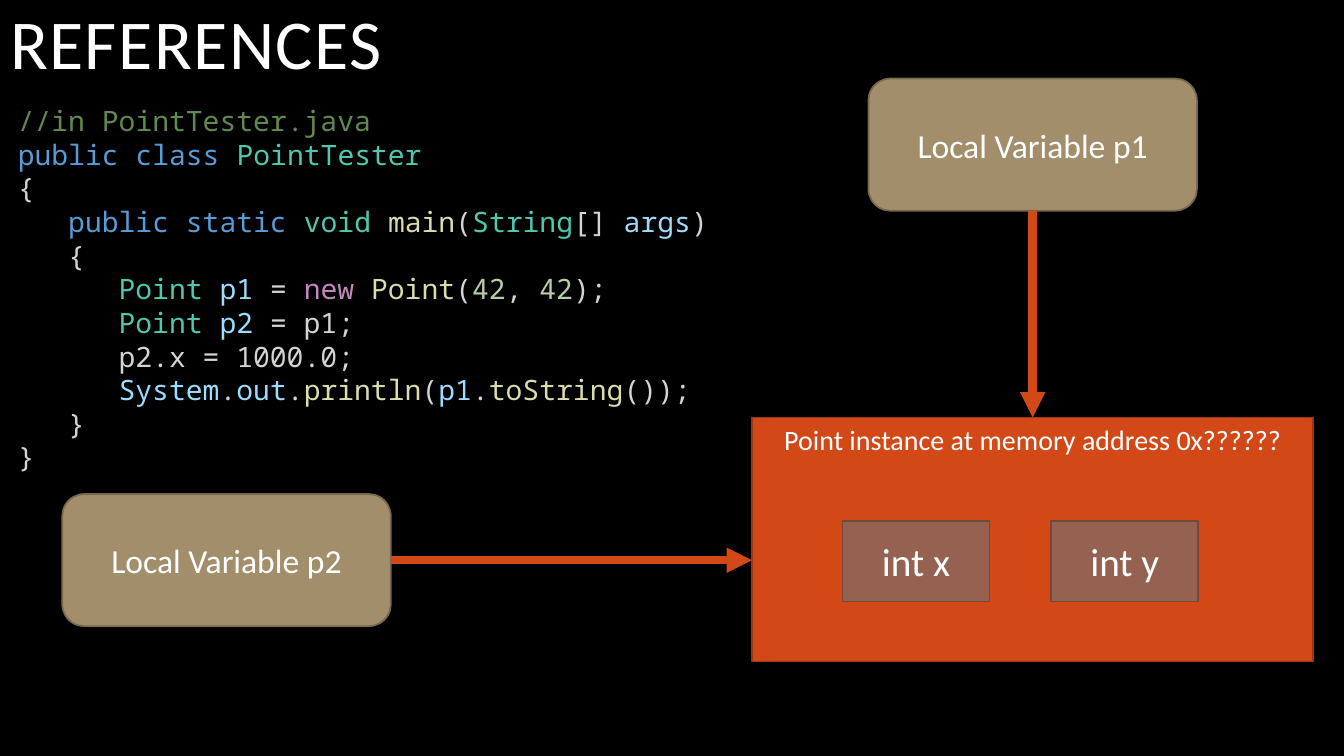
from lxml import etree
from pptx import Presentation
from pptx import util as u
from pptx.dml.color import RGBColor
from pptx.enum import shapes, text
from pptx.oxml import ns

BLACK = RGBColor(0x00, 0x00, 0x00)
WHITE = RGBColor(0xFF, 0xFF, 0xFF)
ORANGE = RGBColor(0xD3, 0x48, 0x17)
ORANGE_EDGE = RGBColor(0x9C, 0x35, 0x11)
BROWN = RGBColor(0x95, 0x62, 0x51)
BROWN_EDGE = RGBColor(0x6E, 0x49, 0x3C)
TAN = RGBColor(0xA2, 0x8E, 0x6A)
TAN_EDGE = RGBColor(0x78, 0x69, 0x4E)
COMMENT = RGBColor(0x60, 0x8B, 0x4E)
KEYWORD = RGBColor(0x56, 0x9C, 0xD6)
TYPE = RGBColor(0x4E, 0xC9, 0xB0)
PLAIN = RGBColor(0xD4, 0xD4, 0xD4)
METHOD = RGBColor(0xDC, 0xDC, 0xAA)
NAME = RGBColor(0x9C, 0xDC, 0xFE)
NEW = RGBColor(0xC5, 0x86, 0xC0)
NUMBER = RGBColor(0xB5, 0xCE, 0xA8)

HEADING = "REFERENCES"
CODE = [
    (0, [("//in PointTester.java", COMMENT)]),
    (0, [("public class ", KEYWORD), ("PointTester", TYPE)]),
    (0, [("{", PLAIN)]),
    (1, [("public static ", KEYWORD), ("void ", TYPE), ("main", METHOD), ("(", PLAIN),
         ("String", TYPE), ("[] ", PLAIN), ("args", NAME), (")", PLAIN)]),
    (1, [("{", PLAIN)]),
    (2, [("Point ", TYPE), ("p1", NAME), (" = ", PLAIN), ("new ", NEW), ("Point", METHOD),
         ("(", PLAIN), ("42", NUMBER), (", ", PLAIN), ("42", NUMBER), (");", PLAIN)]),
    (2, [("Point ", TYPE), ("p2", NAME), (" = p1;", PLAIN)]),
    (2, [("p2.x = 1000.0;", PLAIN)]),
    (2, [("System", NAME), (".", PLAIN), ("out", NAME), (".", PLAIN), ("println", METHOD),
         ("(", PLAIN), ("p1", NAME), (".", PLAIN), ("toString", METHOD), ("());", PLAIN)]),
    (1, [("}", PLAIN)]),
    (0, [("}", PLAIN)]),
]
INSTANCE = "Point instance at memory address 0x??????"
FIELDS = ["int x", "int y"]
VARIABLES = ["Local Variable p1", "Local Variable p2"]

INDENT = u.Cm(1.27)
INSTANCE_BOX = [u.Cm(n) for n in (18.95, 10.52, 14.15, 6.15)]
FIELD_LEFT, FIELD_TOP, FIELD_STEP = u.Cm(21.23), u.Cm(13.13), u.Cm(5.26)
FIELD_SIZE = u.Cm(3.71), u.Cm(2.03)
VARIABLE_SIZE = u.Cm(8.28), u.Cm(3.33)


def write(frame, lines, size=24, font="Calibri", align=text.PP_ALIGN.CENTER,
          anchor=text.MSO_ANCHOR.MIDDLE, spacing=None, tracking=None):
    if isinstance(lines, str):
        lines = [(0, [(lines, WHITE)])]
    frame.word_wrap = True
    frame.auto_size = text.MSO_AUTO_SIZE.NONE
    frame.vertical_anchor = anchor
    for index, (level, runs) in enumerate(lines):
        line = frame.add_paragraph() if index else frame.paragraphs[0]
        line.alignment = align
        line.level = level
        if spacing:
            line.line_spacing = spacing
        if level:
            line._p.get_or_add_pPr().set("marL", str(level * INDENT))
        for words, colour in runs:
            run = line.add_run()
            run.text = words
            run.font.size = u.Pt(size)
            run.font.name = font
            run.font.color.rgb = colour
            if tracking:
                run._r.get_or_add_rPr().set("spc", str(tracking))


def add_box(parent, kind, box, fill, edge, label, **style):
    shape = parent.add_shape(kind, *box)
    shape.shadow.inherit = False
    shape.fill.solid()
    shape.fill.fore_color.rgb = fill
    shape.line.color.rgb = edge
    shape.line.width = u.Pt(1.25)
    write(shape.text_frame, label, **style)
    return shape


def add_arrow(parent, source, side, end):
    arrow = parent.add_connector(shapes.MSO_CONNECTOR.STRAIGHT, 0, 0, *end)
    arrow.begin_connect(source, side)
    arrow.line.color.rgb = ORANGE
    arrow.line.width = u.Pt(6)
    etree.SubElement(arrow.line._get_or_add_ln(), ns.qn("a:tailEnd"), type="triangle")
    etree.SubElement(arrow._element.spPr, ns.qn("a:effectLst"))
    return arrow


def main():
    deck = Presentation()
    deck.slide_width, deck.slide_height = u.Cm(33.87), u.Cm(19.05)
    slide = deck.slides.add_slide(deck.slide_layouts[5])
    slide.background.fill.solid()
    slide.background.fill.fore_color.rgb = BLACK

    heading = slide.shapes.title
    heading.left, heading.top, heading.width, heading.height = (
        u.Cm(0), u.Cm(0), u.Cm(27), u.Cm(2.49))
    write(heading.text_frame, HEADING, size=50, align=text.PP_ALIGN.LEFT,
          spacing=0.8, tracking=100)

    code = slide.shapes.add_textbox(u.Cm(0.2), u.Cm(2.49), u.Cm(33.66), u.Cm(10.69))
    write(code.text_frame, CODE, size=20, font="Noto Sans Mono",
          align=text.PP_ALIGN.LEFT, anchor=text.MSO_ANCHOR.TOP, spacing=u.Pt(24))

    rectangle = shapes.MSO_SHAPE.RECTANGLE
    memory = slide.shapes.add_group_shape().shapes
    instance = add_box(memory, rectangle, INSTANCE_BOX, ORANGE, ORANGE_EDGE, INSTANCE,
                       size=20, anchor=text.MSO_ANCHOR.TOP)
    for index, field in enumerate(FIELDS):
        box = (FIELD_LEFT + index * FIELD_STEP, FIELD_TOP, *FIELD_SIZE)
        add_box(memory, rectangle, box, BROWN, BROWN_EDGE, field, size=28)

    centre = instance.left + instance.width // 2
    places = [(centre - VARIABLE_SIZE[0] // 2, u.Cm(1.98)), (u.Cm(1.57), u.Cm(12.45))]
    p1, p2 = [
        add_box(slide.shapes, shapes.MSO_SHAPE.ROUNDED_RECTANGLE, (*place, *VARIABLE_SIZE),
                TAN, TAN_EDGE, variable)
        for variable, place in zip(VARIABLES, places)
    ]
    add_arrow(slide.shapes, p1, 2, (centre, instance.top)).end_connect(instance, 0)
    add_arrow(slide.shapes, p2, 3, (instance.left, p2.top + p2.height // 2))

    deck.save("out.pptx")


if __name__ == "__main__":
    main()
